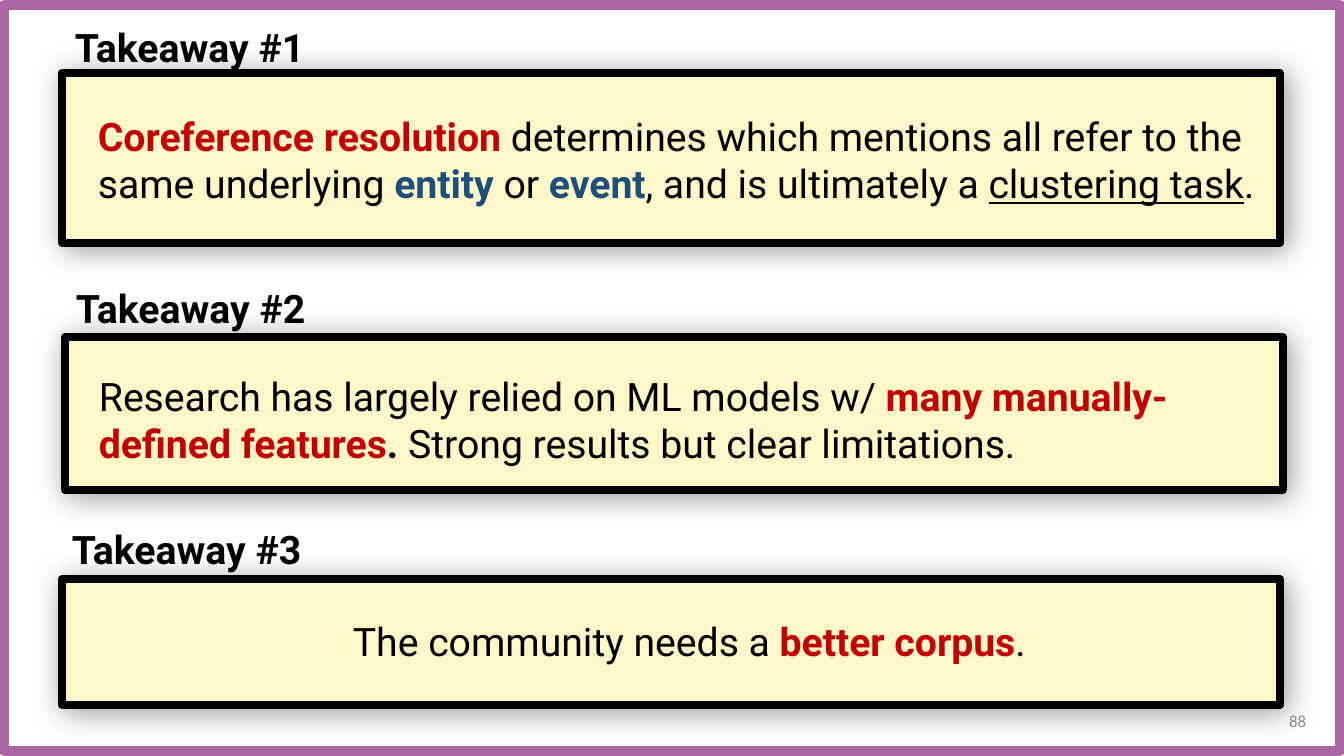
from lxml.etree import SubElement
from pptx import Presentation
from pptx.dml.color import RGBColor
from pptx.enum.shapes import MSO_SHAPE
from pptx.enum.text import MSO_ANCHOR, PP_ALIGN
from pptx.oxml.ns import qn
from pptx.util import Pt

PX = 9144000 / 1008
COLORS = {
    "white": "FFFFFF", "black": "000000", "purple": "AA67A4",
    "cream": "FFF7CA", "red": "C00000", "blue": "1F4E79", "gray": "8C8C8C",
}

deck = Presentation()
deck.slide_width, deck.slide_height = round(1344 * PX), round(756 * PX)
slide = deck.slides.add_slide(deck.slide_layouts[6])


def add_panel(place, fill, line, width):
    panel = slide.shapes.add_shape(MSO_SHAPE.RECTANGLE, *[round(n * PX) for n in place])
    panel.shadow.inherit = False
    panel.fill.solid()
    panel.fill.fore_color.rgb = RGBColor.from_string(COLORS[fill])
    panel.line.color.rgb = RGBColor.from_string(COLORS[line])
    panel.line.width = Pt(width)
    return panel


def add_text(place, runs, size=28, font="Roboto", after=0):
    """Add one paragraph of runs, each given as text, color, bold, underline."""
    box = slide.shapes.add_textbox(*[round(n * PX) for n in place])
    frame = box.text_frame
    frame.word_wrap = True
    frame.vertical_anchor = MSO_ANCHOR.MIDDLE
    para = frame.paragraphs[0]
    para.font.size, para.font.name = Pt(size), font
    para.space_after = Pt(after)
    for text, color, bold, under in runs:
        run = para.add_run()
        run.text = text
        run.font.color.rgb = RGBColor.from_string(COLORS[color])
        run.font.bold, run.font.underline = bold, under
    return para


add_panel((4, 5, 1336, 746), "white", "purple", 7)
number = add_text((1014, 701, 302, 40), [("88", "gray", False, False)], 12, "Calibri")
number.alignment = PP_ALIGN.RIGHT

# Each takeaway: panel place, heading place, body place, space after, body runs
takeaways = [
    ((62, 73, 1218, 170), (65, 18, 268, 57), (88, 107, 1208, 105), 20, [
        ("Coreference resolution ", "red", True, False),
        ("determines which mentions all refer to the same underlying ", "black", False, False),
        ("entity", "blue", True, False),
        (" or ", "black", False, False),
        ("event", "blue", True, False),
        (", and is ultimately a ", "black", False, False),
        ("clustering task", "black", False, True),
        (".", "black", False, False),
    ]),
    ((65, 337, 1218, 153), (66, 279, 268, 57), (89, 367, 1168, 105), 0, [
        ("Research has largely relied on ML models w/ ", "black", False, False),
        ("many manually-defined features", "red", True, False),
        (". ", "black", True, False),
        ("Strong results but clear limitations.", "black", False, False),
    ]),
    ((62, 579, 1218, 126), (62, 520, 256, 57), (343, 612, 707, 57), 0, [
        ("The community needs a ", "black", False, False),
        ("better corpus", "red", True, False),
        (".", "black", False, False),
    ]),
]

for index, (panel_at, head_at, body_at, after, runs) in enumerate(takeaways, 1):
    panel = add_panel(panel_at, "cream", "black", 5.5)
    effects = panel._element.spPr.find(qn("a:effectLst"))
    shadow = SubElement(effects, qn("a:outerShdw"), blurRad=str(Pt(22)), dist=str(Pt(3)),
                        dir=str(45 * 60000), algn="tl", rotWithShape="0")
    tint = SubElement(shadow, qn("a:srgbClr"), val=COLORS["black"])
    SubElement(tint, qn("a:alpha"), val="40000")
    add_text(head_at, [(f"Takeaway #{index}", "black", True, False)], after=20)
    add_text(body_at, runs, after=after)

deck.save("out.pptx")
